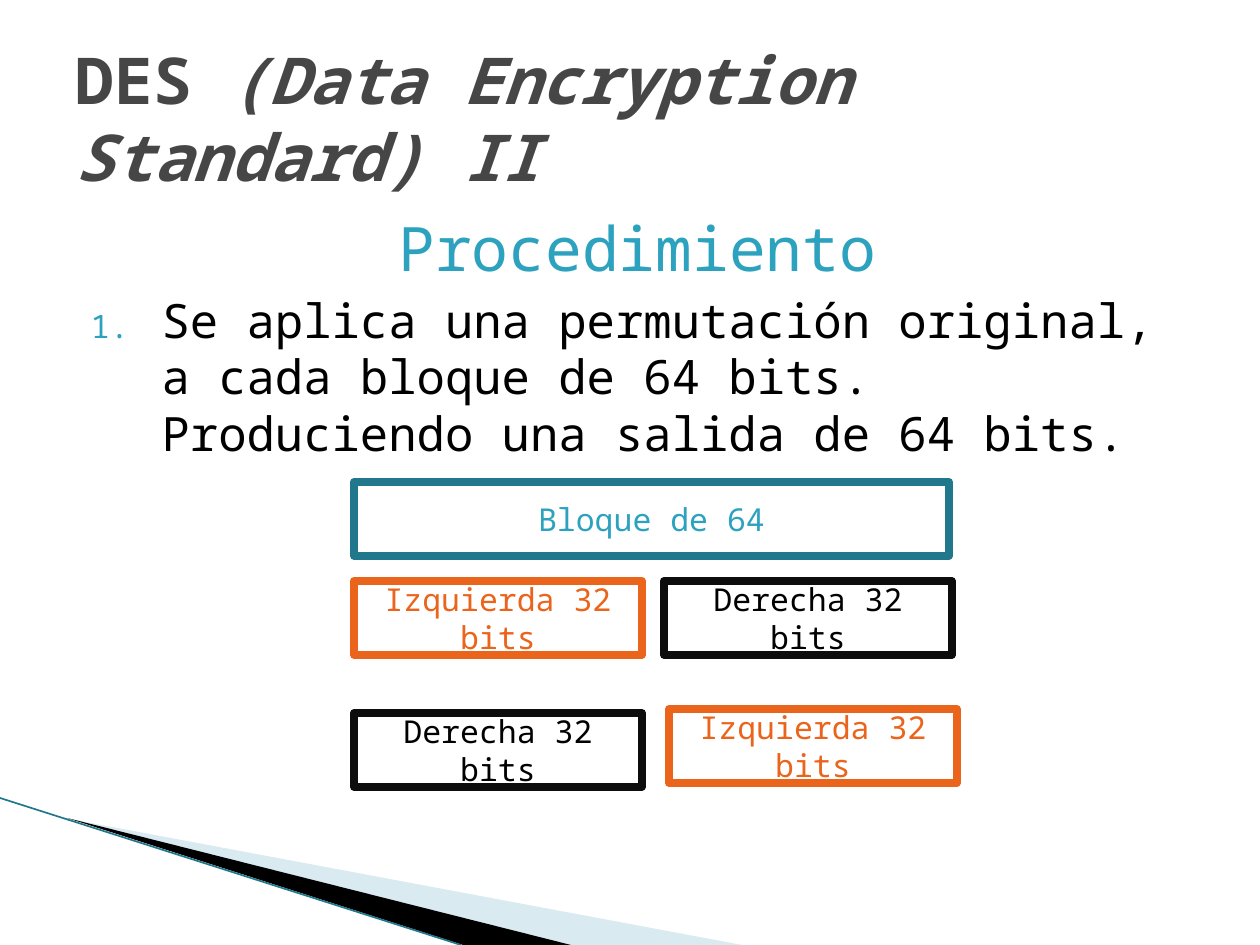
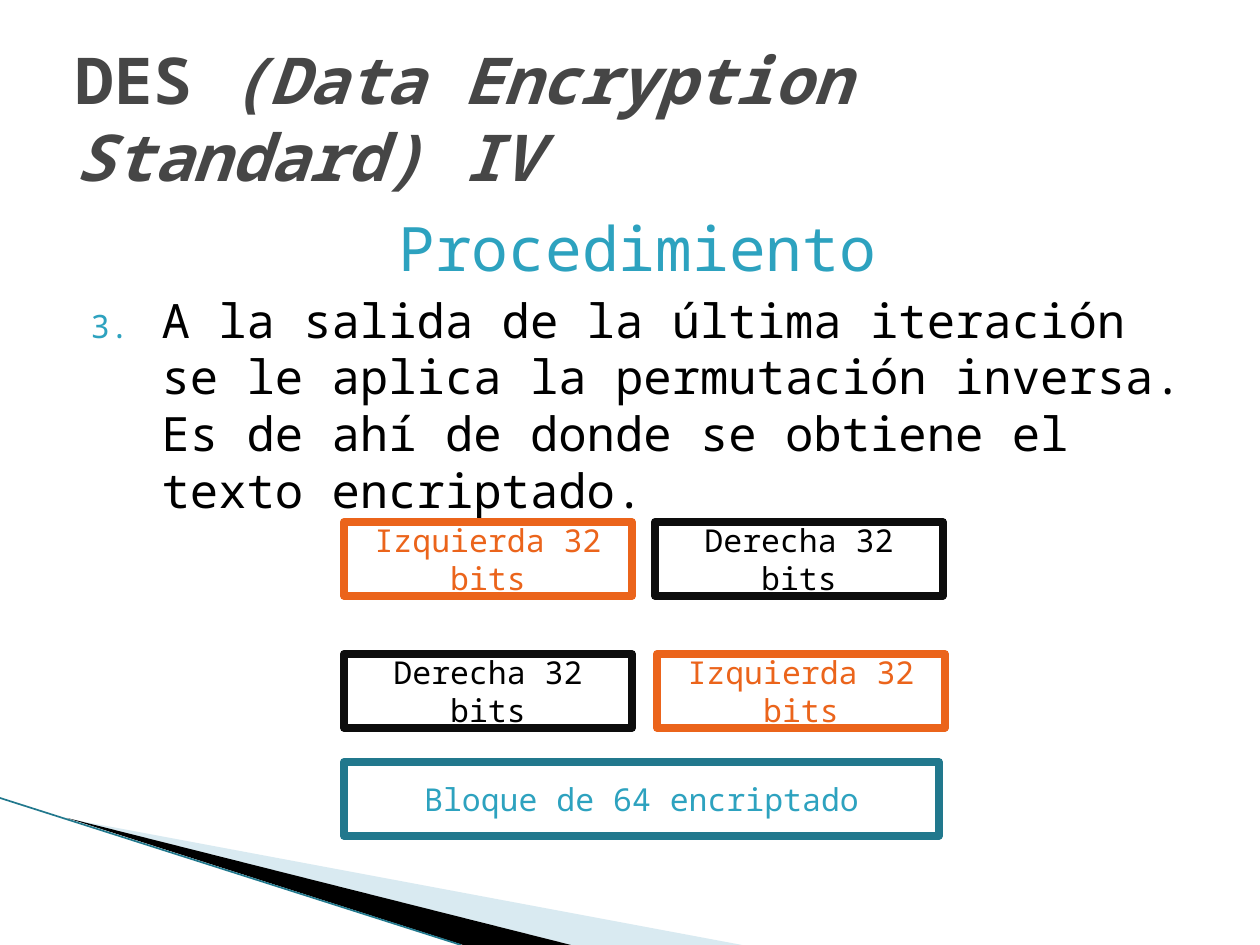
from lxml import etree
from pptx import Presentation
from pptx.dml.color import RGBColor
from pptx.enum.shapes import MSO_CONNECTOR, MSO_SHAPE
from pptx.enum.text import MSO_ANCHOR, MSO_AUTO_SIZE, PP_ALIGN
from pptx.oxml.ns import qn
from pptx.util import Pt

RECTANGLE, STRAIGHT = MSO_SHAPE.RECTANGLE, MSO_CONNECTOR.STRAIGHT
LEFT, CENTER = PP_ALIGN.LEFT, PP_ALIGN.CENTER
TOP, MIDDLE, NO_FIT = MSO_ANCHOR.TOP, MSO_ANCHOR.MIDDLE, MSO_AUTO_SIZE.NONE

EMU_PER_PX = 914400 / 126
FONT = "Noto Sans Mono"
AQUA, TEAL, ORANGE = "2DA2BF", "21788D", "EB641B"
BLACK, INK, GREY, WHITE, PALE = "000000", "0D0D0D", "464646", "FFFFFF", "A0CBDC"

TITLE_FRAME = (63, 38, 1134, 158)
HALF_WIDTH, FULL_WIDTH, BOX_HEIGHT = 288, 595, 74
WEDGES = [
    ([(69, 819), (742, 945), (571, 945)], PALE, 40),
    ([(67, 818), (571, 945), (463, 945)], BLACK, 100),
]
EDGE = (0, 798, 461, 945)

BLOCK = {"width": FULL_WIDTH, "line": TEAL, "color": AQUA}
LEFT_HALF = {"text": "Izquierda 32 bits", "width": HALF_WIDTH, "line": ORANGE, "color": ORANGE}
RIGHT_HALF = {"text": "Derecha 32 bits", "width": HALF_WIDTH, "line": INK, "color": BLACK}

SLIDES = [
    {
        "title": "(Data Encryption Standard) II",
        "step": 1,
        "body": "Se aplica una permutación original, a cada bloque de 64 bits. "
                "Produciendo una salida de 64 bits.",
        "body_height": 278,
        "boxes": [
            ({**BLOCK, "text": "Bloque de 64"}, 354, 482),
            (LEFT_HALF, 354, 581), (RIGHT_HALF, 664, 581),
            (RIGHT_HALF, 354, 713), (LEFT_HALF, 669, 709),
        ],
    },
    {
        "title": "(Data Encryption Standard) IV",
        "step": 3,
        "body": "A la salida de la última iteración se le aplica la permutación inversa. "
                "Es de ahí de donde se obtiene el texto encriptado.",
        "body_height": 268,
        "boxes": [
            ({**BLOCK, "text": "Bloque de 64 encriptado"}, 344, 762),
            (LEFT_HALF, 344, 522), (RIGHT_HALF, 655, 522),
            (RIGHT_HALF, 344, 654), (LEFT_HALF, 657, 654),
        ],
    },
]


def px(*lengths):
    """Turn pixel lengths into EMU."""
    return [round(length * EMU_PER_PX) for length in lengths]


def rgb(value):
    """Turn a hex string into a colour."""
    return RGBColor.from_string(value)


def apply(target, values):
    """Set each attribute of the target from a dict."""
    for name, value in values.items():
        setattr(target, name, value)


def paint(shape, fill):
    """Give a shape a flat fill and no shadow."""
    shape.shadow.inherit = False
    shape.fill.solid()
    shape.fill.fore_color.rgb = rgb(fill)


def add_span(para, text, size, color, **values):
    """Add a run of text in the deck's font."""
    span = para.add_run()
    span.text = text
    apply(span.font, {"name": FONT, "size": Pt(size), **values})
    span.font.color.rgb = rgb(color)


def set_frame(holder, frame, anchor):
    """Place a placeholder and fix its text behaviour."""
    apply(holder, dict(zip(("left", "top", "width", "height"), px(*frame))))
    apply(holder.text_frame, {"word_wrap": True, "auto_size": NO_FIT, "vertical_anchor": anchor})


def set_list(para, margin, indent, bullets):
    """Set the spacing, indents and bullet elements of a paragraph."""
    para.space_before = Pt(4)
    properties = para._p.get_or_add_pPr()
    for name, length in zip(("marL", "indent"), px(margin, indent)):
        properties.set(name, str(length))
    for tag, values in bullets:
        etree.SubElement(properties, qn(tag), values)
    for color in properties.iter(qn("a:buClr")):
        etree.SubElement(color, qn("a:srgbClr"), val=AQUA)


def add_decoration(page, master):
    """Draw the corner wedges and move them to the slide master."""
    parts = []
    for points, fill, opacity in WEDGES:
        builder = page.shapes.build_freeform(*points[0], scale=EMU_PER_PX)
        builder.add_line_segments(points[1:], close=True)
        wedge = builder.convert_to_shape()
        paint(wedge, fill)
        wedge.line.fill.background()
        for color in wedge.element.spPr.iter(qn("a:srgbClr")):
            etree.SubElement(color, qn("a:alpha"), val=str(opacity * 1000))
        parts.append(wedge)
    edge = page.shapes.add_connector(STRAIGHT, *px(*EDGE))
    edge.line.color.rgb = rgb(TEAL)
    edge.line.width = Pt(0.95)
    etree.SubElement(edge.element.spPr, qn("a:effectLst"))
    for number, part in enumerate(parts + [edge], start=101):
        next(part.element.iter(qn("p:cNvPr"))).set("id", str(number))
        master.shapes.element.append(part.element)


def fill_text(page, content):
    """Fill the title and the numbered body of a slide."""
    title, body = page.placeholders
    set_frame(title, TITLE_FRAME, MIDDLE)
    para = title.text_frame.paragraphs[0]
    para.alignment = LEFT
    add_span(para, "DES ", 36.9, GREY, bold=True)
    add_span(para, content["title"], 36.9, GREY, bold=True, italic=True)

    set_frame(body, (63, 204, 1134, content["body_height"]), TOP)
    heading = body.text_frame.paragraphs[0]
    heading.alignment = CENTER
    set_list(heading, 50, -35, [("a:buNone", {})])
    add_span(heading, "Procedimiento", 35, AQUA)
    step = body.text_frame.add_paragraph()
    set_list(step, 86, -71, [
        ("a:buClr", {}),
        ("a:buSzPct", {"val": "68000"}),
        ("a:buFont", {"typeface": FONT}),
        ("a:buAutoNum", {"type": "arabicPeriod", "startAt": str(content["step"])}),
    ])
    add_span(step, content["body"], 27, BLACK)


def add_box(page, style, left, top):
    """Draw one outlined block with centred text."""
    box = page.shapes.add_shape(RECTANGLE, *px(left, top, style["width"], BOX_HEIGHT))
    paint(box, WHITE)
    box.line.color.rgb = rgb(style["line"])
    box.line.width = Pt(4.33)
    apply(box.text_frame, {"word_wrap": True, "vertical_anchor": MIDDLE})
    para = box.text_frame.paragraphs[0]
    para.alignment = CENTER
    add_span(para, style["text"], 18, style["color"])


def main():
    """Build and save the deck."""
    deck = Presentation()
    deck.slide_width, deck.slide_height = px(1260, 945)
    for number, content in enumerate(SLIDES):
        page = deck.slides.add_slide(deck.slide_layouts[1])
        if number == 0:
            add_decoration(page, deck.slide_master)
        fill_text(page, content)
        for style, left, top in content["boxes"]:
            add_box(page, style, left, top)
    deck.save("out.pptx")


if __name__ == "__main__":
    main()
